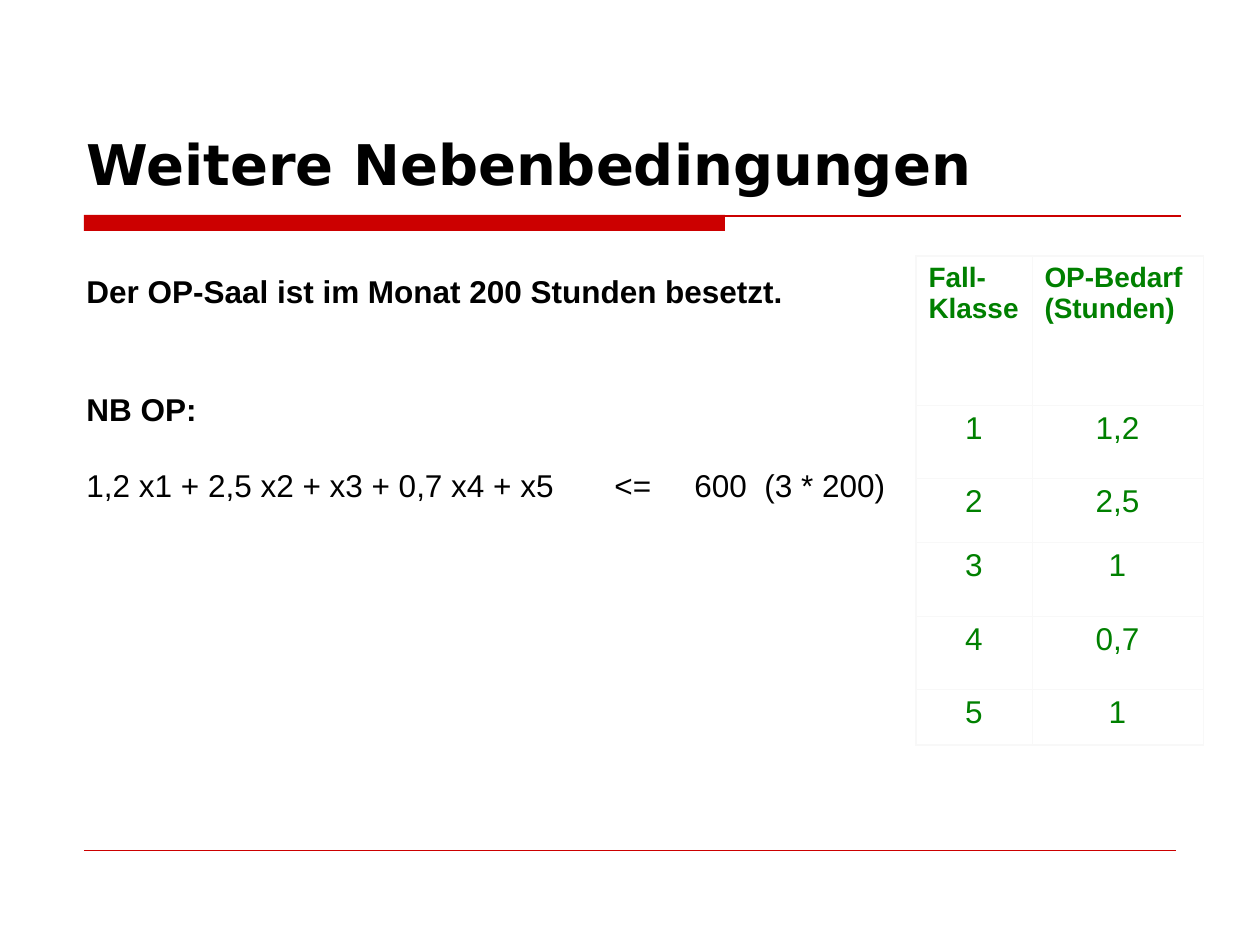
from lxml.etree import SubElement
from pptx import Presentation
from pptx.dml.color import RGBColor
from pptx.enum.shapes import MSO_CONNECTOR, MSO_SHAPE
from pptx.enum.text import MSO_ANCHOR, PP_ALIGN
from pptx.oxml.ns import qn
from pptx.util import Emu, Pt

RED, GREEN, BLACK, PALE = "CC0000", "008000", "000000", "F8F8F8"

# Content: box (left, top, width, height), text, font, size, bold, anchor
TEXTS = [
    ((74, 125, 1042, 78), "Weitere Nebenbedingungen", "DejaVu Sans", 32, True, MSO_ANCHOR.BOTTOM),
    ((74, 266, 862, 48), "Der OP-Saal ist im Monat 200 Stunden besetzt.", "Arial", 18, True, MSO_ANCHOR.TOP),
    ((74, 384, 825, 48), "NB OP:", "Arial", 18, True, MSO_ANCHOR.TOP),
    ((74, 460, 840, 48), "1,2 x1 + 2,5 x2 + x3 + 0,7 x4 + x5\t<=\t600\t(3 * 200)", "Arial", 18, False, MSO_ANCHOR.TOP),
]
STOPS = [528, 608, 678]
RULES = [((84, 216), (1181, 216), 0.75), ((84, 850), (1176, 850), 0.25)]
BAR = (84, 215, 641, 16)

NEEDS = [("Fall-\nKlasse", "OP-Bedarf\n(Stunden)"),
         ("1", "1,2"), ("2", "2,5"), ("3", "1"), ("4", "0,7"), ("5", "1")]
COLS = [116, 171]
ROWS = [149, 73, 64, 74, 73, 56]
CORNER = (916, 256)


def px(n):
    return Emu(round(n * 914400 / 126))


def color(code):
    return RGBColor.from_string(code)


def style(frame, font, size, bold, code):
    for para in frame.paragraphs:
        for run in para.runs:
            run.font.name = font
            run.font.size = Pt(size)
            run.font.bold = bold
            run.font.color.rgb = color(code)


def add_text(slide, box, text, font, size, bold, anchor):
    frame = slide.shapes.add_textbox(*map(px, box)).text_frame
    frame.word_wrap = True
    frame.vertical_anchor = anchor
    frame.text = text
    style(frame, font, size, bold, BLACK)
    if "\t" in text:
        tabs = SubElement(frame.paragraphs[0]._p.get_or_add_pPr(), qn("a:tabLst"))
        for stop in STOPS:
            SubElement(tabs, qn("a:tab"), pos=str(px(stop)), algn="l")


def add_rule(slide, start, end, width):
    rule = slide.shapes.add_connector(MSO_CONNECTOR.STRAIGHT, *map(px, start + end))
    rule.line.color.rgb = color(RED)
    rule.line.width = Pt(width)
    SubElement(rule._element.spPr, qn("a:effectLst"))


def add_borders(cell, widths):
    props = cell._tc.get_or_add_tcPr()
    for spot, (side, width) in enumerate(widths.items()):
        line = SubElement(props, qn("a:ln" + side), w=str(Pt(width)))
        fill = SubElement(line, qn("a:solidFill"))
        SubElement(fill, qn("a:srgbClr"), val=PALE)
        props.insert(spot, line)  # borders come before the cell fill


def add_needs(slide):
    size = (sum(COLS), sum(ROWS))
    table = slide.shapes.add_table(len(ROWS), len(COLS), *map(px, CORNER + size)).table
    table.first_row = table.horz_banding = False
    for col, width in zip(table.columns, COLS):
        col.width = px(width)
    for row, height in zip(table.rows, ROWS):
        row.height = px(height)
    for r, values in enumerate(NEEDS):
        for c, value in enumerate(values):
            cell = table.cell(r, c)
            head = r == 0
            cell.text_frame.text = value
            style(cell.text_frame, "Arial", 16 if head else 18, head, GREEN)
            for para in cell.text_frame.paragraphs:
                para.alignment = PP_ALIGN.LEFT if head else PP_ALIGN.CENTER
            cell.fill.background()
            add_borders(cell, {"L": 0.45 if c else 0.96, "R": 0.45,
                               "T": 0.96 if head else 0.45,
                               "B": 0.96 if r == len(ROWS) - 1 else 0.45})


def main():
    deck = Presentation()
    deck.slide_width, deck.slide_height = px(1260), px(945)
    slide = deck.slides.add_slide(deck.slide_layouts[6])

    # Red bar and rules
    bar = slide.shapes.add_shape(MSO_SHAPE.RECTANGLE, *map(px, BAR))
    bar.shadow.inherit = False
    bar.fill.solid()
    bar.fill.fore_color.rgb = color(RED)
    bar.line.fill.background()
    for rule in RULES:
        add_rule(slide, *rule)

    # Title, statement and constraint
    for item in TEXTS:
        add_text(slide, *item)

    # Operating hours per case class
    add_needs(slide)
    deck.save("out.pptx")


if __name__ == "__main__":
    main()
